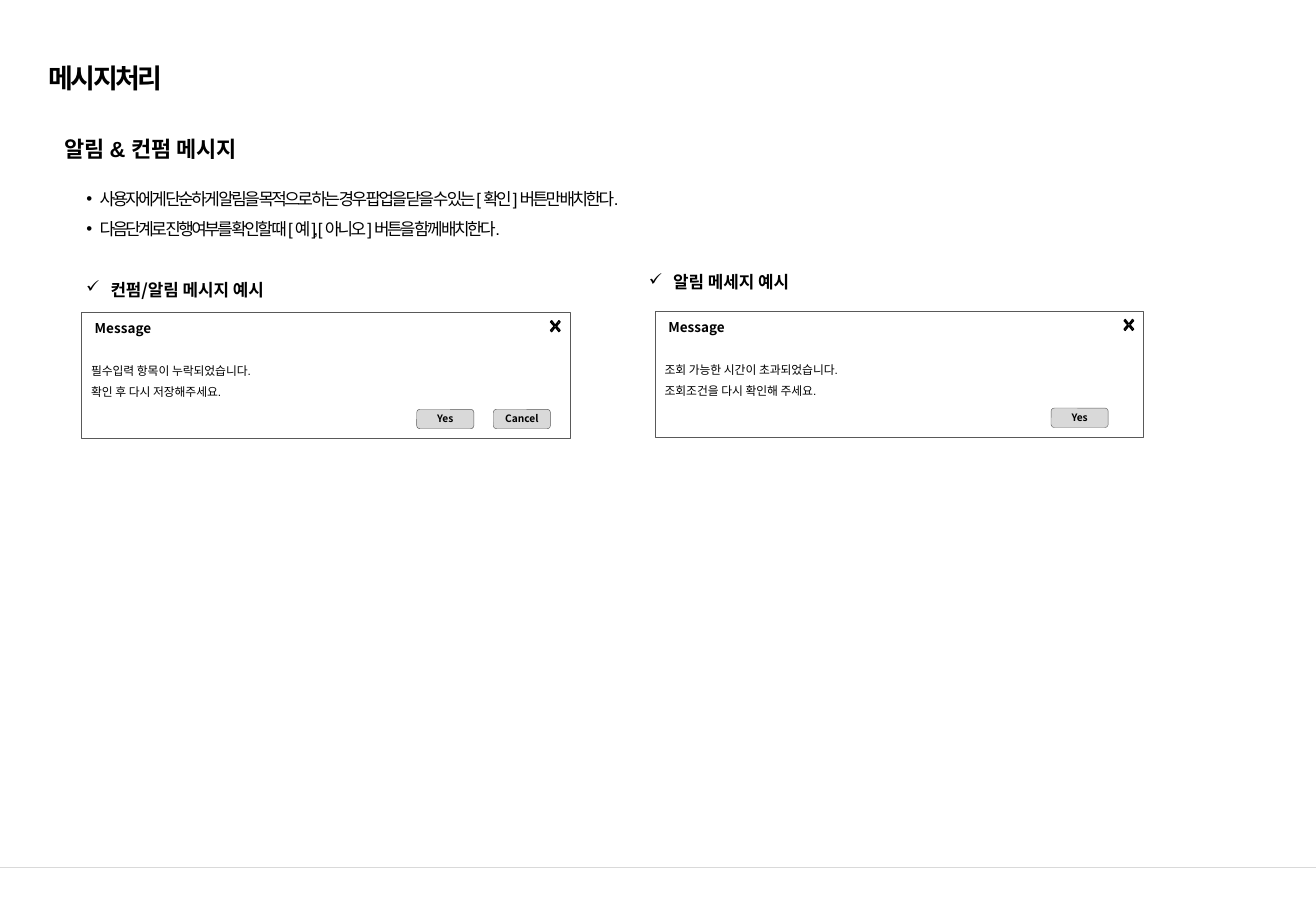
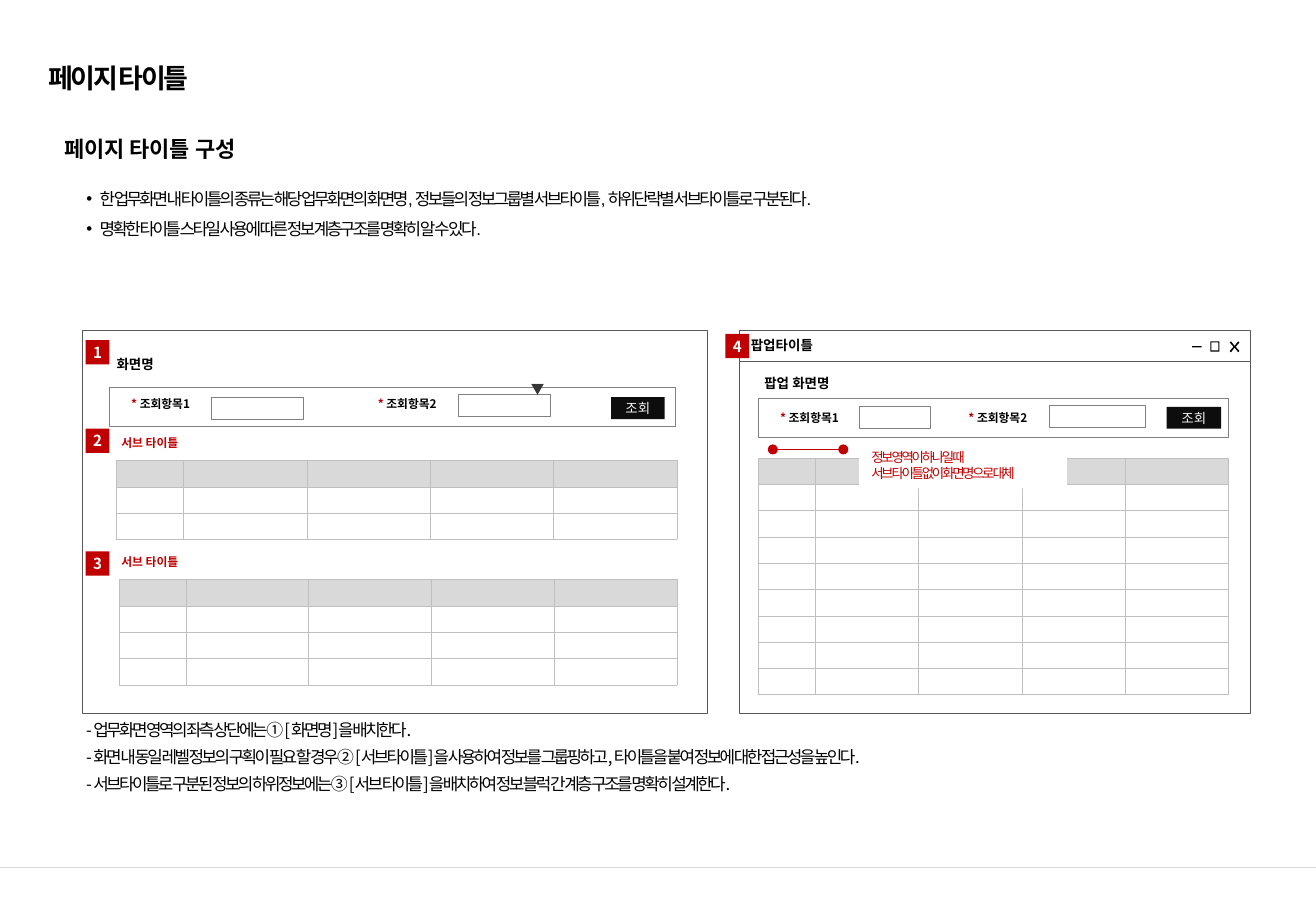
from lxml.etree import SubElement
from pptx import Presentation
from pptx.dml.color import RGBColor
from pptx.enum.shapes import MSO_CONNECTOR, MSO_SHAPE
from pptx.enum.text import MSO_ANCHOR, MSO_AUTO_SIZE, PP_ALIGN
from pptx.oxml.ns import qn
from pptx.util import Inches, Pt

COLS, ROWS = 108.3, 75
LATIN, KOREAN = "Arial", "Noto Sans CJK KR"
BLACK, WHITE, RED = "000000", "FFFFFF", "C00000"
EDGE, FIELD, GRID, PALE, INK = "595959", "808080", "BFBFBF", "D9D9D9", "0D0D0D"
LEADING = 1.185
LEFT, CENTER, RIGHT = PP_ALIGN.LEFT, PP_ALIGN.CENTER, PP_ALIGN.RIGHT
TOP, MIDDLE = MSO_ANCHOR.TOP, MSO_ANCHOR.MIDDLE
CROSS = [(0.13, 0), (0.5, 0.42), (0.87, 0), (1, 0.11), (0.62, 0.5), (1, 0.89),
         (0.87, 1), (0.5, 0.58), (0.13, 1), (0, 0.89), (0.38, 0.5), (0, 0.11)]


def grid(n):
    """Turn a number of grid cells into a length."""
    return Inches(n / 10)


def rgb(color):
    """Turn a hex string into a colour."""
    return RGBColor.from_string(color)


def paint(sp, fill=None, line=None, width=0.25):
    """Set the fill and outline of a shape."""
    sp.shadow.inherit = False
    if fill:
        sp.fill.solid()
        sp.fill.fore_color.rgb = rgb(fill)
    else:
        sp.fill.background()
    if line:
        sp.line.color.rgb = rgb(line)
        sp.line.width = Pt(width)
    else:
        sp.line.fill.background()


def write(sp, lines, size=10, font=KOREAN, color=BLACK, bold=False, tight=False,
          align=LEFT, anchor=TOP, spacing=1, gap=0, bullet=None, indent=(0, 0), inset=0):
    """Fill a shape with paragraphs, each a string or a list of (text, colour) runs."""
    tf = sp.text_frame
    tf.auto_size, tf.word_wrap, tf.vertical_anchor = MSO_AUTO_SIZE.NONE, True, anchor
    tf.margin_left = tf.margin_right = grid(inset)
    tf.margin_top = tf.margin_bottom = 0
    for i, line in enumerate(lines):
        p = tf.add_paragraph() if i else tf.paragraphs[0]
        if bullet:
            pPr = p._p.get_or_add_pPr()
            pPr.set("marL", str(grid(indent[0])))
            pPr.set("indent", str(grid(indent[1])))
            SubElement(pPr, qn("a:buChar"), char=bullet)
        p.alignment = align
        p.line_spacing = Pt(round(size * LEADING * spacing, 1))
        p.space_before = Pt(gap if i else 0)
        for text, ink in [(line, color)] if isinstance(line, str) else line:
            r = p.add_run()
            r.text = text
            r.font.size, r.font.bold, r.font.name = Pt(size), bold, font
            r.font.color.rgb = rgb(ink)
            rPr = r._r.get_or_add_rPr()
            SubElement(rPr, qn("a:ea"), typeface=KOREAN)
            if tight:
                rPr.set("spc", "-150")


class Deck:
    """Holds the presentation, its style and the current slide."""

    def __init__(self):
        """Start an empty presentation."""
        self.prs = Presentation()
        self.prs.slide_width, self.prs.slide_height = grid(COLS), grid(ROWS)
        self.layout = self.prs.slide_layouts[1]

    def slide(self, title, heading, points):
        """Add a slide with its title, heading and bullet list."""
        self.s = self.prs.slides.add_slide(self.layout)
        head, body = self.s.placeholders
        self.place(head, 3, 4.5, 100.7, 3.8)
        write(head, [title], size=16, font=LATIN, bold=True, tight=True, anchor=MIDDLE, inset=1)
        self.place(body, 6.2, 14.7, 96.9, 5)
        write(body, points, font=LATIN, tight=True, spacing=1.5, bullet="•", indent=(2, -1.1))
        self.text([heading], 5.3, 10.1, 98.4, 3.2, size=13, font=LATIN, bold=True, spacing=1.5)

    def place(self, sp, x, y, w, h):
        """Move a shape to a place on the grid."""
        sp.left, sp.top, sp.width, sp.height = map(grid, (x, y, w, h))

    def text(self, lines, x, y, w, h, **fmt):
        """Add a text box."""
        write(self.s.shapes.add_textbox(*map(grid, (x, y, w, h))), lines, **fmt)

    def shape(self, x, y, w, h, kind=MSO_SHAPE.RECTANGLE, lines=None, fill=None,
              line=None, width=0.25, **fmt):
        """Add a preset shape, with text if there is any."""
        sp = self.s.shapes.add_shape(kind, *map(grid, (x, y, w, h)))
        paint(sp, fill, line, width)
        if lines:
            write(sp, lines, **fmt)
        return sp

    def cross(self, x, y, w, h, **style):
        """Add a closing cross."""
        points = [(grid(x + w * a), grid(y + h * b)) for a, b in CROSS]
        builder = self.s.shapes.build_freeform(*points[0])
        builder.add_line_segments(points[1:])
        paint(builder.convert_to_shape(), **style)

    def line(self, x1, x2, y, color, width, ends=None):
        """Add a level line, with end marks if named."""
        cx = self.s.shapes.add_connector(MSO_CONNECTOR.STRAIGHT, *map(grid, (x1, y, x2, y)))
        cx.line.color.rgb = rgb(color)
        cx.line.width = Pt(width)
        spPr = cx.element.spPr
        if ends:
            for tag in ("a:headEnd", "a:tailEnd"):
                SubElement(spPr.find(qn("a:ln")), qn(tag), type=ends)
        SubElement(spPr, qn("a:effectLst"))
        return cx

    def footer(self):
        """Put the footer line on the layout."""
        rule = self.line(0, COLS, 71.4, PALE, 0.75)
        self.layout.shapes.element.append(rule.element)

    def table(self, x, y, w, h, rows, first):
        """Add an empty table with a shaded head and a narrow first column."""
        frame = self.s.shapes.add_table(rows, 5, *map(grid, (x, y, w, h)))
        table = frame.table
        table.first_row = table.horz_banding = False
        for i, column in enumerate(table.columns):
            column.width = grid((w - first) / 4 if i else first)
        for i, row in enumerate(table.rows):
            row.height = grid(h / rows)
            for cell in row.cells:
                cell.margin_top = cell.margin_bottom = 0
                cell.fill.solid()
                cell.fill.fore_color.rgb = rgb(WHITE if i else PALE)
        for tcPr in frame.element.iter(qn("a:tcPr")):
            for i, side in enumerate("LRTB"):
                ln = SubElement(tcPr, qn(f"a:ln{side}"), w=str(Pt(0.25)))
                SubElement(SubElement(ln, qn("a:solidFill")), qn("a:srgbClr"), val=GRID)
                tcPr.insert(i, ln)
        for p in frame.element.iter(qn("a:p")):
            SubElement(p, qn("a:endParaRPr"), sz="600")

    def checked(self, text, x, y):
        """Add a small heading with a check mark."""
        self.text([text], x, y, 20, 1.7, bold=True, bullet="✓", indent=(2, -2))

    def dialog(self, x, y, message, buttons):
        """Add a message window with its buttons."""
        self.shape(x, y, 40.2, 10.4, fill=WHITE, line=EDGE)
        self.text(message, x + 0.8, y + 3.7, 25, 3.5, size=7, font=LATIN, spacing=1.5)
        self.text(["Message"], x + 1.1, y + 0.7, 8, 1.4, size=8, bold=True)
        self.cross(x + 38.6, y + 0.7, 0.8, 0.9, fill=WHITE, line=BLACK, width=0.75)
        for dx, label in buttons:
            self.shape(x + dx, y + 8, 4.7, 1.6, MSO_SHAPE.ROUNDED_RECTANGLE, [label],
                       fill=PALE, line=EDGE, size=6, bold=True, align=CENTER, anchor=MIDDLE)

    def search(self, box, labels, fields, button):
        """Add a search bar with labels, input fields and a button."""
        self.shape(*box, line=FIELD)
        for i, (x, y) in enumerate(labels, 1):
            self.text([[("* ", RED), (f"조회항목{i}", BLACK)]], x, y, 8, 1.7, size=7, bold=True)
        for x, y, w in fields:
            self.shape(x, y, w, 1.8, fill=WHITE, line=FIELD, width=0.5)
        self.shape(*button, lines=["조회"], fill=INK, size=8, color="F2F2F2",
                   align=CENTER, anchor=MIDDLE)

    def badge(self, number, x, y):
        """Add a numbered red square."""
        self.shape(x, y, 1.95, 2, lines=[str(number)], fill=RED, size=9, color=WHITE,
                   bold=True, align=CENTER, anchor=MIDDLE)


def messages(deck):
    """Build the slide on messages."""
    deck.slide("메시지처리", "알림 & 컨펌 메시지", [
        "사용자에게 단순하게 알림을 목적으로 하는 경우 팝업을 닫을 수 있는 [ 확인 ] 버튼만 배치한다.",
        "다음단계로 진행여부를 확인할 때 [ 예 ], [ 아니오 ] 버튼을 함께 배치한다."])
    deck.checked("컨펌/알림 메시지 예시", 7.1, 23)
    deck.checked("알림 메세지 예시", 53.4, 22.4)
    deck.dialog(6.7, 25.7, ["필수입력 항목이 누락되었습니다.", "확인 후 다시 저장해주세요."],
                [(27.6, "Yes"), (33.9, "Cancel")])
    deck.dialog(53.9, 25.6, ["조회 가능한 시간이 초과되었습니다.", "조회조건을 다시 확인해 주세요."],
                [(32.6, "Yes")])
    deck.footer()


def page_titles(deck):
    """Build the slide on page titles."""
    deck.slide("페이지 타이틀", "페이지 타이틀 구성", [
        "한 업무화면 내 타이틀의 종류는 해당 업무화면의 화면명, 정보들의 정보그룹별 서브타이틀, "
        "하위단락별 서브타이틀로 구분된다.",
        "명확한 타이틀 스타일 사용에 따른 정보 계층구조를 명확히 알 수 있다."])
    deck.text([
        "- 업무화면 영역의 좌측 상단에는 ① [ 화면명]을 배치한다.",
        "- 화면 내 동일 레벨 정보의 구획이 필요 할 경우 ② [서브타이틀]을 사용하여 정보를 그룹핑하고, "
        "타이틀을 붙여 정보에 대한 접근성을 높인다.",
        "- 서브타이틀로 구분된 정보의 하위정보에는 ③ [서브 타이틀]을 배치하여 정보 블럭 간 "
        "계층 구조를 명확히 설계한다."], 7.1, 59.3, 98.6, 6.9, tight=True, gap=4)

    deck.shape(6.8, 27.2, 51.4, 31.5, fill=WHITE, line=EDGE)
    deck.text(["화면명"], 9.6, 29.3, 5, 1.4, size=8, bold=True)
    deck.search((9, 31.9, 46.6, 3.2), [(10.8, 32.7), (31.1, 32.7)],
                [(17.4, 32.7, 7.6), (37.7, 32.5, 7.6)], (50.3, 32.7, 4.4, 1.8))
    deck.text(["▼"], 42.4, 31.4, 2.4, 1.4, size=8, color="363636", align=RIGHT)
    for y in (35.9, 45.7):
        deck.text(["서브 타이틀"], 10, y, 7, 1.4, size=7, color=RED, bold=True)
    for number, y in enumerate((28, 35.3, 45.4), 1):
        deck.badge(number, 7.05, y)
    deck.table(9.6, 37.9, 46.1, 6.5, rows=3, first=5.5)
    deck.table(9.8, 47.7, 45.9, 8.7, rows=4, first=5.5)

    deck.shape(60.8, 27.2, 42.1, 2.5, lines=["팝업타이틀"], fill=WHITE, line=EDGE,
               size=8, bold=True, anchor=MIDDLE, inset=1)
    deck.shape(60.8, 29.75, 42.1, 29, fill=WHITE, line=EDGE)
    deck.shape(98.1, 28.5, 0.8, 0.1, fill=BLACK)
    frame = deck.shape(99.6, 28.1, 0.75, 0.85, MSO_SHAPE.FRAME, fill=BLACK)
    frame.adjustments[0] = 0.12
    deck.cross(101.2, 28.1, 0.8, 0.9, fill=BLACK)
    deck.badge(4, 59.7, 27.5)
    deck.text(["팝업 화면명"], 62.9, 30.9, 8, 1.4, size=8, bold=True)
    deck.search((62.4, 32.8, 38.7, 3.2), [(64.2, 33.8), (79.7, 33.8)],
                [(70.7, 33.5, 5.9), (86.4, 33.4, 7.9)], (96, 33.5, 4.5, 1.8))
    deck.table(62.4, 37.7, 38.7, 19.5, rows=9, first=4.7)
    deck.shape(70.7, 36.5, 17.1, 3.7, fill=WHITE)
    deck.text(["정보 영역이 하나일 때", "서브 타이틀 없이 화면명으로 대체"], 71.7, 37, 15.1, 2.7,
              size=8, font=LATIN, color=RED, tight=True)
    deck.line(63.6, 69.4, 37, RED, 0.25, ends="oval")


def main():
    """Build and save the slides."""
    deck = Deck()
    messages(deck)
    page_titles(deck)
    deck.prs.save("out.pptx")


if __name__ == "__main__":
    main()
